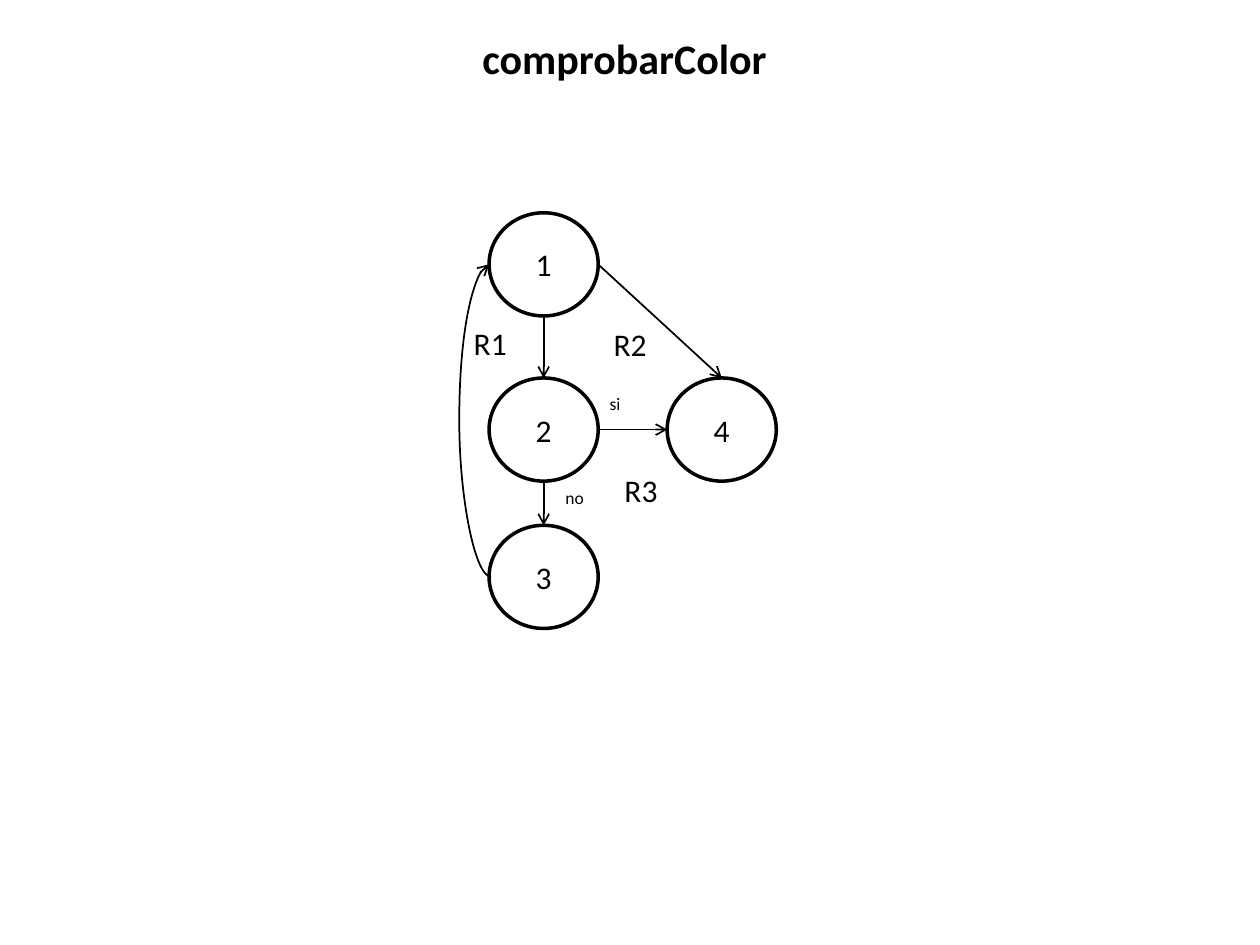
from dataclasses import dataclass
from lxml.etree import SubElement
from pptx import Presentation
from pptx.dml.color import RGBColor
from pptx.enum.shapes import MSO_CONNECTOR, MSO_SHAPE
from pptx.enum.text import MSO_ANCHOR, MSO_AUTO_SIZE, PP_ALIGN
from pptx.oxml.ns import qn
from pptx.util import Cm, Pt


@dataclass(frozen=True)
class Theme:
    ink: RGBColor = RGBColor(0, 0, 0)
    font: str = "Calibri"
    title: int = 24
    body: int = 18
    branch: int = 10
    node_line: float = 2
    edge_line: float = 1


theme = Theme()


def write(frame, text, size, align, bold=False):
    frame.text = text
    paragraph = frame.paragraphs[0]
    paragraph.alignment = align
    font = paragraph.runs[0].font
    font.name, font.size, font.bold = theme.font, Pt(size), bold
    font.color.rgb = theme.ink


def add_label(text, left, top, width, height, size, align=PP_ALIGN.LEFT, bold=False, wrap=False):
    label = slide.shapes.add_textbox(Cm(left), Cm(top), Cm(width), Cm(height))
    label.text_frame.word_wrap = wrap
    label.text_frame.auto_size = MSO_AUTO_SIZE.SHAPE_TO_FIT_TEXT
    write(label.text_frame, text, size, align, bold)


deck = Presentation()
deck.slide_width, deck.slide_height = Cm(25.4), Cm(19.05)
slide = deck.slides.add_slide(deck.slide_layouts[6])

node_width, node_height = 2.2, 2.08
left_column, right_column = 9.86, 13.45
node_places = {
    "1": (left_column, 4.29),
    "2": (left_column, 7.62),
    "3": (left_column, 10.59),
    "4": (right_column, 7.62),
}
nodes = {}
for number, (left, top) in node_places.items():
    node = slide.shapes.add_shape(
        MSO_SHAPE.OVAL, Cm(left), Cm(top), Cm(node_width), Cm(node_height))
    node.shadow.inherit = False
    node.fill.background()
    node.line.color.rgb = theme.ink
    node.line.width = Pt(theme.node_line)
    node.text_frame.vertical_anchor = MSO_ANCHOR.MIDDLE
    write(node.text_frame, number, theme.body, PP_ALIGN.CENTER)
    nodes[number] = node

sides = {
    "top": (0, 0.5, 0),
    "left": (2, 0, 0.5),
    "bottom": (4, 0.5, 1),
    "right": (6, 1, 0.5),
}
loop_offset, loop_bulge = 0.04, 0.64
edges = [
    ("1", "bottom", "2", "top"),
    ("2", "bottom", "3", "top"),
    ("2", "right", "4", "left"),
    ("3", "left", "1", "left"),
    ("1", "right", "4", "top"),
]
for source, source_side, target, target_side in edges:
    is_loop = source_side == target_side
    ends = []
    for number, side in ((source, source_side), (target, target_side)):
        site, across, down = sides[side]
        left, top = node_places[number]
        ends.append((number, site, left + across * node_width, top + down * node_height))
    (_, _, start_x, start_y), (_, _, end_x, end_y) = ends
    if is_loop:
        start_x += loop_offset
    kind = MSO_CONNECTOR.CURVE if is_loop else MSO_CONNECTOR.STRAIGHT
    edge = slide.shapes.add_connector(kind, Cm(start_x), Cm(start_y), Cm(end_x), Cm(end_y))
    edge.line.color.rgb = theme.ink
    edge.line.width = Pt(theme.edge_line)
    properties = edge._element.spPr
    SubElement(properties.find(qn("a:ln")), qn("a:tailEnd"), type="arrow")
    SubElement(properties, qn("a:effectLst"))
    glue = edge._element.find(".//" + qn("p:cNvCxnSpPr"))
    for tag, (number, site, _, _) in zip(("a:stCxn", "a:endCxn"), ends):
        SubElement(glue, qn(tag), id=str(nodes[number].shape_id), idx=str(site))
    if is_loop:
        guides = properties.find(qn("a:prstGeom")).find(qn("a:avLst"))
        bend = round(loop_bulge / loop_offset * 100000)
        SubElement(guides, qn("a:gd"), name="adj1", fmla=f"val {bend}")

add_label("comprobarColor", 2.67, 0.53, 19.84, 1.27, theme.title, PP_ALIGN.CENTER, bold=True, wrap=True)

for answer, left, top, width in (("si", 12.04, 7.8, 0.74), ("no", 11.15, 9.7, 0.89)):
    add_label(answer, left, top, width, 0.69, theme.branch)

for region, left, top in (("R1", 9.3, 6.4), ("R2", 12.12, 6.43), ("R3", 12.34, 9.37)):
    add_label(region, left, top, 1.19, 1.02, theme.body)

deck.save("out.pptx")
